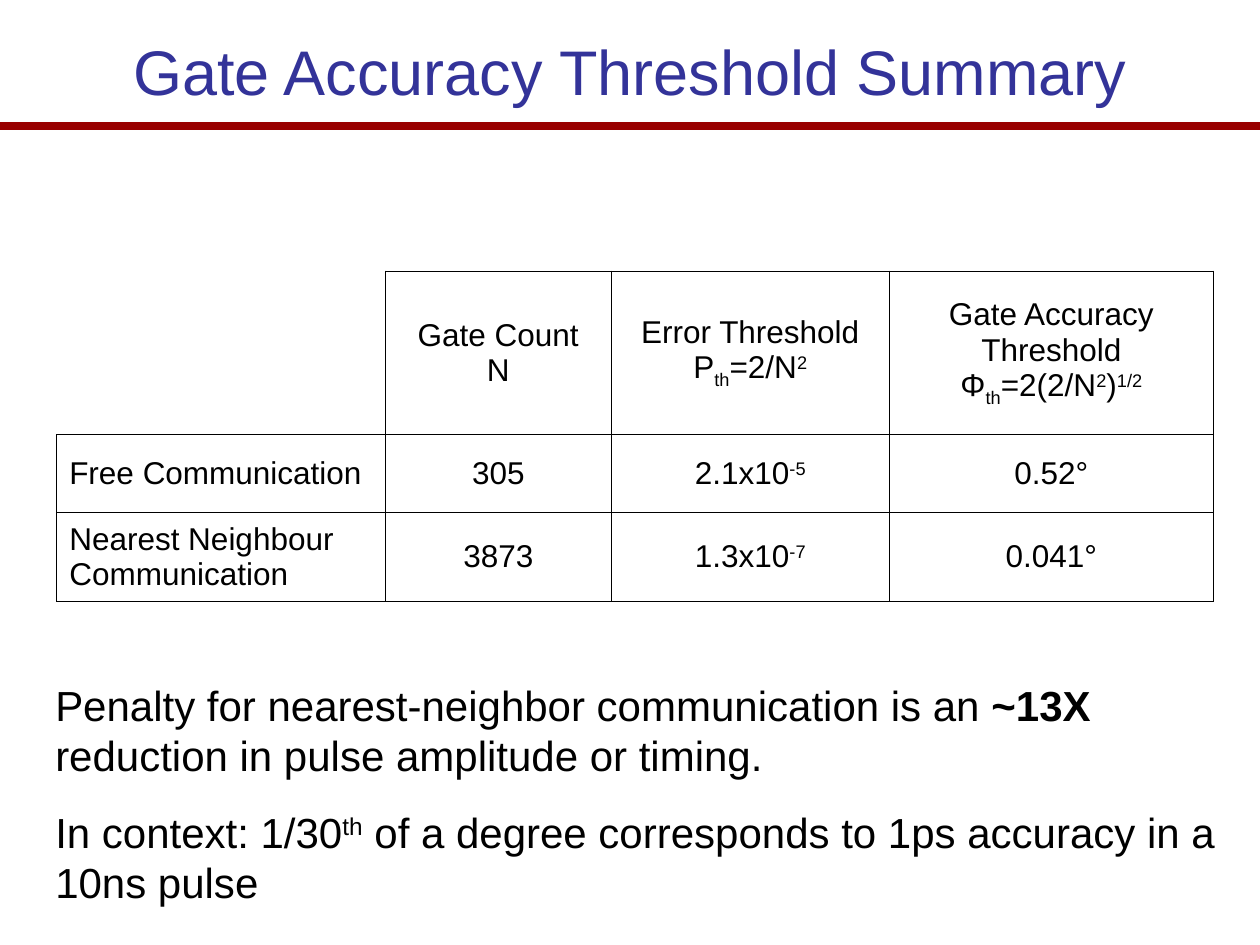
from lxml.etree import SubElement
from pptx import Presentation
from pptx.dml.color import RGBColor
from pptx.enum.shapes import MSO_CONNECTOR
from pptx.enum.text import MSO_ANCHOR, PP_ALIGN
from pptx.oxml.ns import qn
from pptx.util import Inches, Pt

WIDTH, HEIGHT = 10, 7.5
FONT, BLACK, BLUE, RED = "Arial", "000000", "333399", "990000"
TITLE = "Gate Accuracy Threshold Summary"

# A paragraph is a list of runs: plain text, or (text, style).
SUB, SUPER, BOLD = "sub", "super", "bold"
BASELINES = {SUB: -25000, SUPER: 30000}
TABLE_ROWS = [
    [
        [],
        [["Gate Count"], ["N"]],
        [["Error Threshold"], ["P", ("th", SUB), "=2/N", ("2", SUPER)]],
        [["Gate Accuracy"], ["Threshold"],
         ["Φ", ("th", SUB), "=2(2/N", ("2", SUPER), ")", ("1/2", SUPER)]],
    ],
    [
        [["Free Communication"]],
        [["305"]],
        [["2.1x10", ("‑5", SUPER)]],
        [["0.52°"]],
    ],
    [
        [["Nearest Neighbour"], ["Communication"]],
        [["3873"]],
        [["1.3x10", ("-7", SUPER)]],
        [["0.041°"]],
    ],
]
COLUMN_WIDTHS = [2.61, 1.79, 2.21, 2.57]
ROW_HEIGHTS = [1.3, 0.62, 0.7]
CONCLUSIONS = [
    ["Penalty for nearest-neighbor communication is an ", ("~13X", BOLD),
     " reduction in pulse amplitude or timing."],
    ["In context: 1/30", ("th", SUPER),
     " of a degree corresponds to 1ps accuracy in a 10ns pulse"],
]


def color(hex_value):
    return RGBColor.from_string(hex_value)


def format_run(run, size, hex_value, style=None):
    run.font.name = FONT
    run.font.size = Pt(size)
    run.font.bold = style == BOLD
    run.font.color.rgb = color(hex_value)
    if style in BASELINES:
        run.font._element.set("baseline", str(BASELINES[style]))


def fill_text(text_frame, paragraphs, size, alignment, gap=0):
    for index, runs in enumerate(paragraphs):
        paragraph = text_frame.add_paragraph() if index else text_frame.paragraphs[0]
        paragraph.alignment = alignment
        if index and gap:
            paragraph.space_before = Pt(gap)
        for item in runs:
            text, style = (item, None) if isinstance(item, str) else item
            run = paragraph.add_run()
            run.text = text
            format_run(run, size, BLACK, style)


def set_borders(cell, visible_sides):
    properties = cell._tc.get_or_add_tcPr()
    for side in "LRTB":
        line = SubElement(properties, qn(f"a:ln{side}"), w=str(Pt(0.45)))
        if side in visible_sides:
            fill = SubElement(line, qn("a:solidFill"))
            SubElement(fill, qn("a:srgbClr"), val=BLACK)
        else:
            SubElement(line, qn("a:noFill"))


def add_title(slide):
    title = slide.shapes.title
    title.left, title.top = Inches(0.17), Inches(0.17)
    title.width, title.height = Inches(WIDTH - 2 * 0.17), Inches(0.78)
    title.text_frame.text = TITLE
    title.text_frame.vertical_anchor = MSO_ANCHOR.MIDDLE
    paragraph = title.text_frame.paragraphs[0]
    paragraph.alignment = PP_ALIGN.CENTER
    format_run(paragraph.runs[0], 36, BLUE)


def add_rule(slide):
    rule = slide.shapes.add_connector(
        MSO_CONNECTOR.STRAIGHT, 0, Inches(1), Inches(WIDTH), Inches(1))
    rule.line.color.rgb = color(RED)
    rule.line.width = Pt(4.5)
    SubElement(rule._element.spPr, qn("a:effectLst"))


def add_threshold_table(slide):
    table = slide.shapes.add_table(
        len(ROW_HEIGHTS), len(COLUMN_WIDTHS), Inches(0.45), Inches(2.15),
        Inches(sum(COLUMN_WIDTHS)), Inches(sum(ROW_HEIGHTS))).table
    table.first_row = table.horz_banding = False
    for column, width in zip(table.columns, COLUMN_WIDTHS):
        column.width = Inches(width)
    for row, height in zip(table.rows, ROW_HEIGHTS):
        row.height = Inches(height)
    for row_index, row in enumerate(TABLE_ROWS):
        for column_index, paragraphs in enumerate(row):
            cell = table.cell(row_index, column_index)
            set_borders(cell, "LRTB" if paragraphs else "RB")
            cell.fill.background()
            cell.vertical_anchor = MSO_ANCHOR.MIDDLE
            alignment = PP_ALIGN.CENTER if column_index else PP_ALIGN.LEFT
            fill_text(cell.text_frame, paragraphs, 18, alignment)


def add_conclusions(slide):
    box = slide.shapes.add_textbox(
        Inches(0.34), Inches(5.34), Inches(9.42), Inches(1.91))
    box.text_frame.word_wrap = True
    fill_text(box.text_frame, CONCLUSIONS, 24, PP_ALIGN.LEFT, gap=15)


def main():
    presentation = Presentation()
    presentation.slide_width = Inches(WIDTH)
    presentation.slide_height = Inches(HEIGHT)
    slide = presentation.slides.add_slide(
        presentation.slide_layouts.get_by_name("Title Only"))
    add_rule(slide)
    add_title(slide)
    add_threshold_table(slide)
    add_conclusions(slide)
    presentation.save("out.pptx")


if __name__ == "__main__":
    main()
